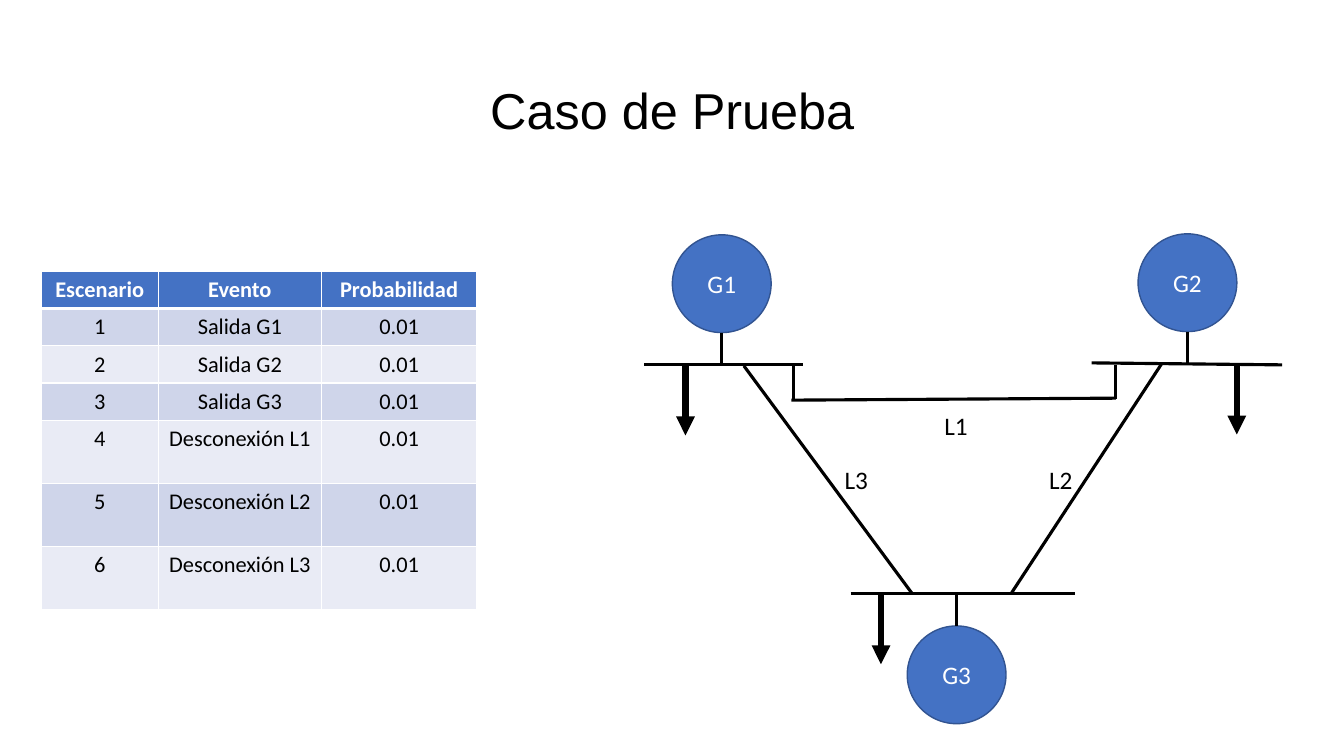
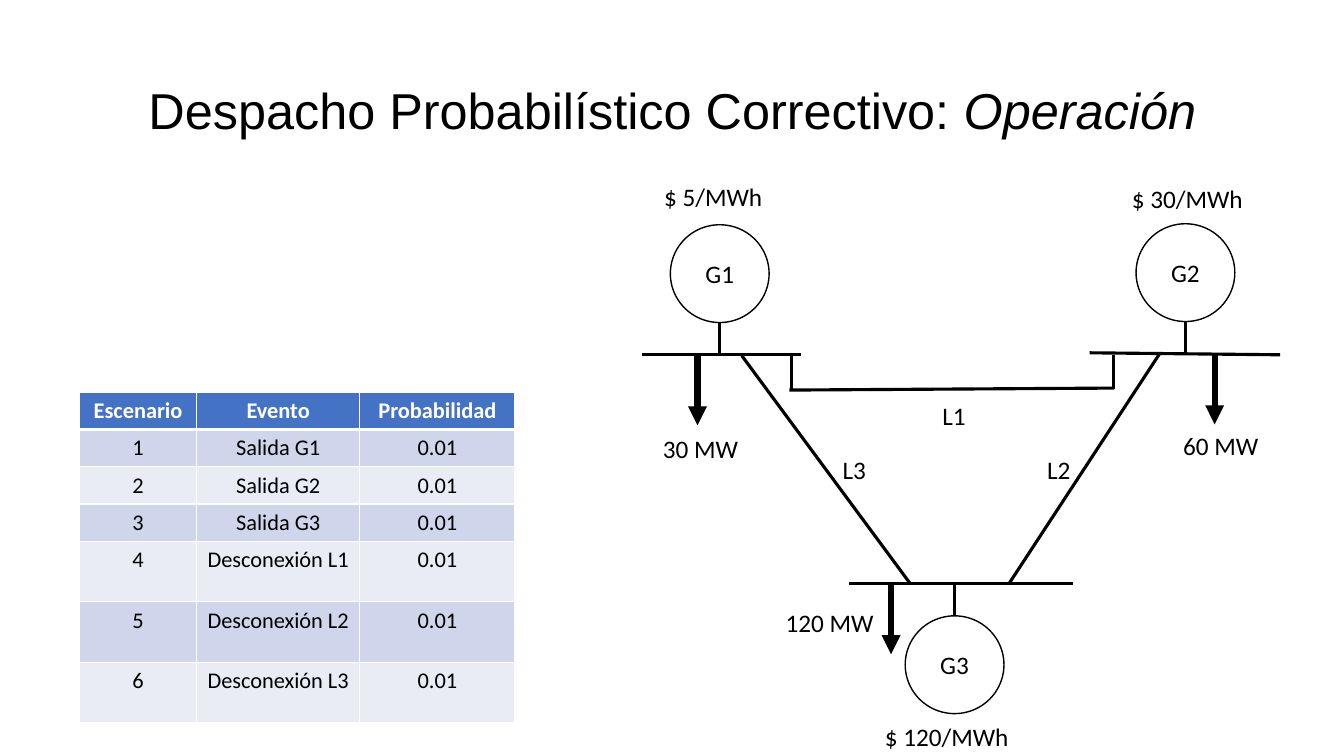
from dataclasses import dataclass
from lxml.etree import SubElement
from pptx import Presentation
from pptx.dml.color import RGBColor
from pptx.enum.shapes import MSO_CONNECTOR, MSO_SHAPE
from pptx.enum.text import MSO_ANCHOR, PP_ALIGN
from pptx.oxml import parse_xml
from pptx.oxml.ns import nsdecls, qn
from pptx.util import Inches, Pt


@dataclass(frozen=True)
class Theme:
    ink: str = "000000"
    paper: str = "FFFFFF"
    blue: str = "4472C4"
    edge: str = "325491"
    bands: tuple = ("CFD5EA", "E9EBF5")
    head: str = "Arial"
    body: str = "Calibri"
    big: int = 36
    mid: int = 18
    small: int = 16
    thin: float = 1
    wire: float = 2.25
    load: float = 4.5
    rule: float = 3


LOOK = Theme()
CELL = 0.1
WIDE, HIGH = 133.33, 75
TITLE = (9.2, 4, 115, 14.5)

HEADS = ("Escenario", "Evento", "Probabilidad")
EVENTS = ("Salida G1", "Salida G2", "Salida G3",
          "Desconexión L1", "Desconexión L2", "Desconexión L3")
ODDS = "0.01"
COLS = (11.6, 16.2, 15.4)
SHORT = 3.7

DISC = (9.8, 9.7)
STEM = 3.2
DROP = 7
BUSES = (
    ("G1", 71.6, 36.2, 63.9, 79.7, 0, -1),
    ("G2", 117.8, 36.1, 108.3, 127.2, 0.1, -1),
    ("G3", 94.9, 58.9, 84.4, 106.6, 0, 1),
)
LINKS = (
    (73.8, 36.3, 90.5, 58.9),
    (115.3, 36, 100.3, 58.9),
    (78.7, 39.6, 78.7, 36.2),
    (78.5, 39.7, 110.7, 39.5),
    (110.7, 39.6, 110.7, 36.2),
)
TAGS = (("L1", 92.7, 40.2), ("L3", 82.8, 45.6), ("L2", 103.1, 45.6))

PAGES = (
    dict(title=[("Caso de Prueba", False)],
         table=(4.1, 26.9), tall=6.25, shift=(0, 0), loads=(68, 122.7, 87.4),
         fill=LOOK.blue, edge=LOOK.edge, ink=LOOK.paper, costs=(), needs=()),
    dict(title=[("Despacho Probabilístico Correctivo: ", False), ("Operación", True)],
         table=(7.9, 38.9), tall=6, shift=(-0.2, -1), loads=(69.4, 120.7, 88.6),
         fill=None, edge=LOOK.ink, ink=LOOK.ink,
         costs=(("$ 5/MWh", 64.9, 17.5), ("$ 30/MWh", 111.3, 17.7),
                ("$ 120/MWh", 86.8, 71.1)),
         needs=(("30 MW", 62.7, 42.5), ("60 MW", 114.3, 42.2),
                ("120 MW", 75.5, 59.8))),
)


def grid(*vals):
    return [Inches(val * CELL) for val in vals]


def write(frame, text, size=LOOK.mid, font=LOOK.body, color=LOOK.ink,
          bold=False, align=PP_ALIGN.CENTER, anchor=None, space=None):
    frame.word_wrap = True
    if anchor is not None:
        frame.vertical_anchor = anchor
    para = frame.paragraphs[0]
    para.alignment = align
    if space:
        para.line_spacing = space
    runs = [(text, False)] if isinstance(text, str) else text
    for words, slant in runs:
        run = para.add_run()
        run.text = words
        face = run.font
        face.size, face.name = Pt(size), font
        face.bold, face.italic = bold, slant
        face.color.rgb = RGBColor.from_string(color)


def label(slide, text, box, **style):
    write(slide.shapes.add_textbox(*grid(*box)).text_frame, text, **style)


def stroke(slide, ends, width=LOOK.wire, arrow=False):
    line = slide.shapes.add_connector(MSO_CONNECTOR.STRAIGHT, *grid(*ends))
    line.line.width = Pt(width)
    line.line.color.rgb = RGBColor.from_string(LOOK.ink)
    props = line._element.spPr
    if arrow:
        SubElement(props.find(qn("a:ln")), qn("a:tailEnd"), type="triangle")
    SubElement(props, qn("a:effectLst"))


def disc(slide, name, box, page):
    ball = slide.shapes.add_shape(MSO_SHAPE.OVAL, *grid(*box))
    ball.shadow.inherit = False
    if page["fill"]:
        ball.fill.solid()
        ball.fill.fore_color.rgb = RGBColor.from_string(page["fill"])
    else:
        ball.fill.background()
    ball.line.color.rgb = RGBColor.from_string(page["edge"])
    ball.line.width = Pt(LOOK.thin)
    write(ball.text_frame, name, color=page["ink"], anchor=MSO_ANCHOR.MIDDLE)


def border(cell, row):
    props = cell._tc.get_or_add_tcPr()
    rules = {"L": LOOK.thin, "R": LOOK.thin,
             "T": LOOK.rule if row == 1 else LOOK.thin,
             "B": LOOK.rule if row == 0 else LOOK.thin}
    for spot, (side, width) in enumerate(rules.items()):
        props.insert(spot, parse_xml(
            f'<a:ln{side} {nsdecls("a")} w="{Pt(width)}"><a:solidFill>'
            f'<a:srgbClr val="{LOOK.paper}"/></a:solidFill></a:ln{side}>'))


def chart(slide, page):
    rows = [HEADS] + [(str(num), name, ODDS) for num, name in enumerate(EVENTS, 1)]
    highs = [SHORT] * 4 + [page["tall"]] * 3
    box = (*page["table"], sum(COLS), sum(highs))
    table = slide.shapes.add_table(len(rows), len(COLS), *grid(*box)).table
    for col, width in zip(table.columns, grid(*COLS)):
        col.width = width
    for row, (items, high) in enumerate(zip(rows, grid(*highs))):
        table.rows[row].height = high
        top = row == 0
        fill = LOOK.blue if top else LOOK.bands[(row - 1) % 2]
        for col, text in enumerate(items):
            cell = table.cell(row, col)
            cell.margin_left = cell.margin_right = Inches(0.07)
            cell.fill.solid()
            cell.fill.fore_color.rgb = RGBColor.from_string(fill)
            border(cell, row)
            write(cell.text_frame, text, size=LOOK.small, bold=top,
                  color=LOOK.paper if top else LOOK.ink)


def network(slide, page):
    dx, dy = page["shift"]
    wide, high = DISC
    for bus, load in zip(BUSES, page["loads"]):
        name, mid, base, left, right, tilt, side = bus
        mid, base, load = mid + dx, base + dy, load + dx
        tip = base + side * STEM
        top = tip if side > 0 else tip - high
        disc(slide, name, (mid - wide / 2, top, wide, high), page)
        stroke(slide, (left + dx, base - tilt, right + dx, base + tilt))
        stroke(slide, (mid, base, mid, tip))
        stroke(slide, (load, base, load, base + DROP), LOOK.load, True)
    for x, y, far, low in LINKS:
        stroke(slide, (x + dx, y + dy, far + dx, low + dy))
    for text, x, y in TAGS:
        label(slide, text, (x + dx, y + dy, 5.8, 4), align=PP_ALIGN.LEFT)
    for text, x, y in page["costs"]:
        label(slide, text, (x, y, 17.1, 4), align=PP_ALIGN.LEFT)
    for text, x, y in page["needs"]:
        label(slide, text, (x, y, 13.6, 4))


def main():
    deck = Presentation()
    deck.slide_width, deck.slide_height = grid(WIDE, HIGH)
    for page in PAGES:
        slide = deck.slides.add_slide(deck.slide_layouts[6])
        label(slide, page["title"], TITLE, size=LOOK.big, font=LOOK.head,
              anchor=MSO_ANCHOR.MIDDLE, space=0.9)
        chart(slide, page)
        network(slide, page)
    deck.save("out.pptx")


if __name__ == "__main__":
    main()
